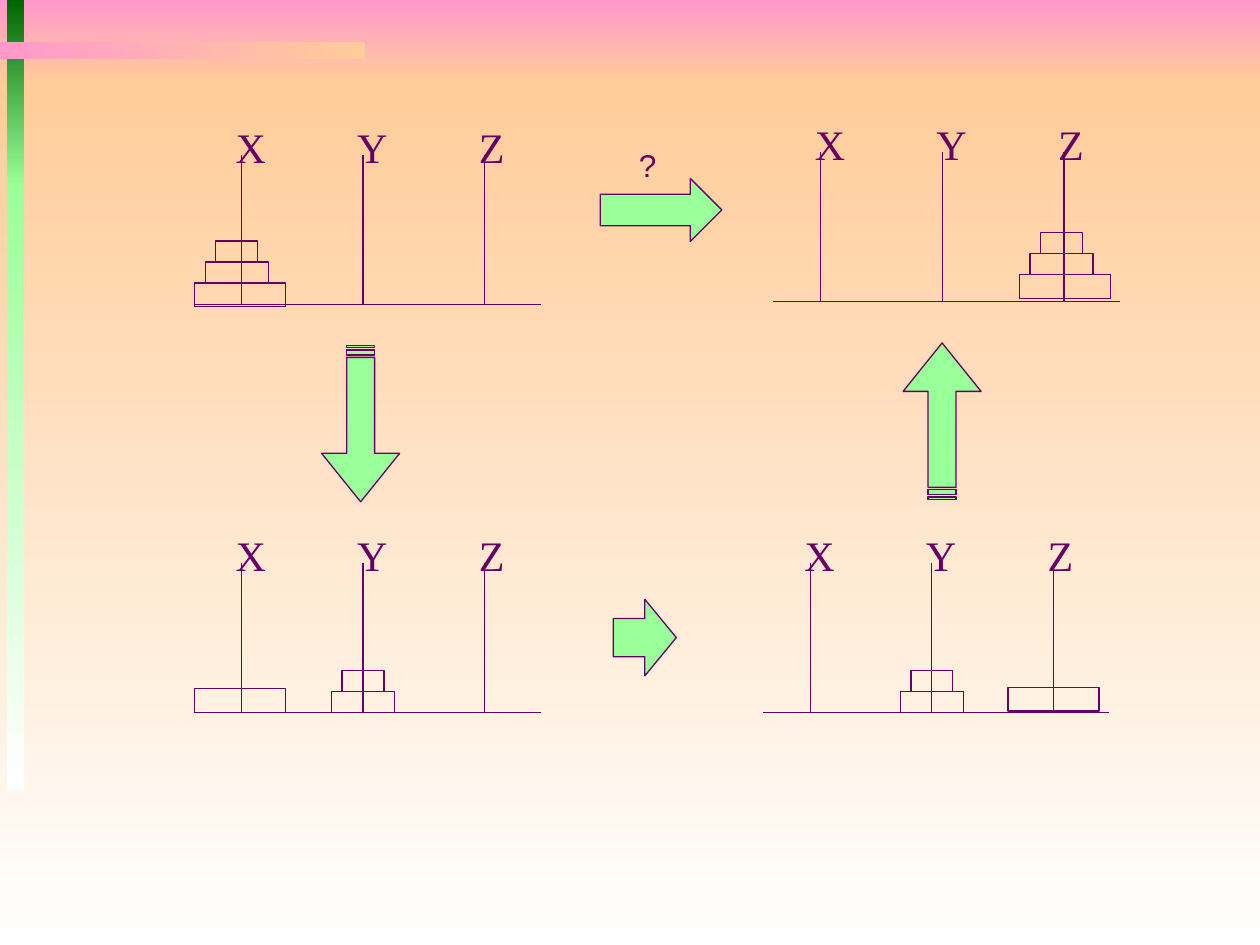
from dataclasses import dataclass

from lxml.etree import SubElement
from pptx import Presentation
from pptx.dml.color import RGBColor
from pptx.enum.shapes import MSO_CONNECTOR, MSO_SHAPE
from pptx.enum.text import MSO_ANCHOR, MSO_AUTO_SIZE, PP_ALIGN
from pptx.oxml.ns import qn
from pptx.util import Pt


@dataclass(frozen=True)
class Theme:
    ink: str = "660066"
    leaf: str = "99FF99"
    forest: str = "006600"
    pink: str = "FF99CC"
    peach: str = "FFCC99"
    white: str = "FFFFFF"
    rule: float = 0.75
    peg_size: int = 24
    question_size: int = 18
    peg_font: str = "Times New Roman"
    question_font: str = "Arial"


@dataclass(frozen=True)
class Tower:
    """Disks from the bottom up on one peg, with small shifts in points."""
    peg: str
    disks: tuple
    shift: float = 0
    lean: float = 0
    sink: float = 0


THEME = Theme()
PEGS = {"X": 27, "Y": 96.5, "Z": 166}
PEG_HEIGHT = 85.5
FLOOR_WIDTH = 198
DISKS = {"large": (52, 13.5), "medium": (36, 12), "small": (24, 12)}


def rgb(code):
    return RGBColor.from_string(code)


def add_block(slide, kind, left, top, width, height, fill=None, line=THEME.ink):
    block = slide.shapes.add_shape(kind, Pt(left), Pt(top), Pt(width), Pt(height))
    block.shadow.inherit = False
    if fill:
        block.fill.solid()
        block.fill.fore_color.rgb = rgb(fill)
    else:
        block.fill.background()
    if line:
        block.line.color.rgb = rgb(line)
        block.line.width = Pt(THEME.rule)
    else:
        block.line.fill.background()
    return block


def add_band(slide, left, top, width, height, start, end, angle=270):
    band = add_block(slide, MSO_SHAPE.RECTANGLE, left, top, width, height, line=None)
    band.fill.gradient()
    band.fill.gradient_angle = angle
    for stop, position, color in zip(band.fill.gradient_stops, (0, 1), (start, end)):
        stop.position = position
        stop.color.rgb = rgb(color)


def add_line(slide, x1, y1, x2, y2):
    line = slide.shapes.add_connector(
        MSO_CONNECTOR.STRAIGHT, Pt(x1), Pt(y1), Pt(x2), Pt(y2))
    line.line.color.rgb = rgb(THEME.ink)
    line.line.width = Pt(THEME.rule)
    SubElement(line._element.spPr, qn("a:effectLst"))


def add_text(slide, text, left, top, width, height, *, size, font,
             color=THEME.ink, inset=7.2):
    box = slide.shapes.add_textbox(Pt(left), Pt(top), Pt(width), Pt(height))
    frame = box.text_frame
    frame.word_wrap = False
    frame.auto_size = MSO_AUTO_SIZE.SHAPE_TO_FIT_TEXT
    frame.vertical_anchor = MSO_ANCHOR.TOP
    frame.margin_left = frame.margin_right = Pt(inset)
    paragraph = frame.paragraphs[0]
    paragraph.alignment = PP_ALIGN.LEFT
    run = paragraph.add_run()
    run.text = text
    run.font.size = Pt(size)
    run.font.name = font
    run.font.color.rgb = rgb(color)


def add_backdrop(slide, width, height):
    split = 48
    add_band(slide, 0, 0, width, split, THEME.pink, THEME.peach)
    add_band(slide, 0, split, width, height - split, THEME.peach, THEME.white)
    add_band(slide, 4, 0, 10, 106, THEME.forest, THEME.leaf)
    add_band(slide, 4, 105, 10, 346.5, THEME.leaf, THEME.white)
    add_band(slide, 0, 24, 208.5, 10, THEME.pink, THEME.peach, angle=0)


def add_tower(slide, left, floor, tower):
    center = left + PEGS[tower.peg] + tower.shift
    top = floor + tower.sink
    for level, disk in enumerate(tower.disks):
        width, height = DISKS[disk]
        top -= height
        lean = tower.lean if level else 0
        add_block(slide, MSO_SHAPE.RECTANGLE, center + lean - width / 2, top,
                  width, height)


def add_board(slide, left, floor, towers):
    """Draw three labelled pegs standing on a floor line, with their towers."""
    add_line(slide, left, floor, left + FLOOR_WIDTH, floor)
    for name, offset in PEGS.items():
        peg = left + offset
        add_line(slide, peg, floor - PEG_HEIGHT, peg, floor)
        add_text(slide, name, peg - 10.5, floor - 108, 31.5, 36,
                 size=THEME.peg_size, font=THEME.peg_font)
    for tower in towers:
        add_tower(slide, left, floor, tower)


def add_question_arrow(slide, left, top):
    add_block(slide, MSO_SHAPE.RIGHT_ARROW, left, top, 69.5, 36, THEME.leaf)
    add_text(slide, "?", left + 18.5, top - 22, 10.8, 28.8, inset=3.6,
             size=THEME.question_size, font=THEME.question_font)


def add_striped_arrow(slide, left, top, rotation):
    arrow = add_block(slide, MSO_SHAPE.STRIPED_RIGHT_ARROW, left, top,
                      89.5, 44.6, THEME.leaf)
    arrow.adjustments[0] = 0.359
    arrow.adjustments[1] = 0.621
    arrow.rotation = rotation


def main():
    presentation = Presentation()
    presentation.slide_width, presentation.slide_height = Pt(720), Pt(540)
    slide = presentation.slides.add_slide(presentation.slide_layouts[6])

    add_backdrop(slide, 720, 540)
    full = ("large", "medium", "small")
    pair = ("medium", "small")
    add_board(slide, 111, 174, [Tower("X", full, shift=-0.7, lean=-2, sink=1.2)])
    add_board(slide, 442, 172.3, [Tower("Z", full, shift=0.6, lean=-2, sink=-1.8)])
    add_board(slide, 111, 407, [Tower("X", ("large",), shift=-0.7),
                                Tower("Y", pair)])
    add_board(slide, 436, 407, [Tower("Z", ("large",), sink=-0.7),
                                Tower("Y", pair)])

    add_question_arrow(slide, 343, 102)
    add_block(slide, MSO_SHAPE.RIGHT_ARROW, 350.5, 342.5, 36, 43.7, THEME.leaf)
    add_striped_arrow(slide, 161.3, 219.7, 90)
    add_striped_arrow(slide, 493.6, 218.4, 270)
    presentation.save("out.pptx")


if __name__ == "__main__":
    main()
